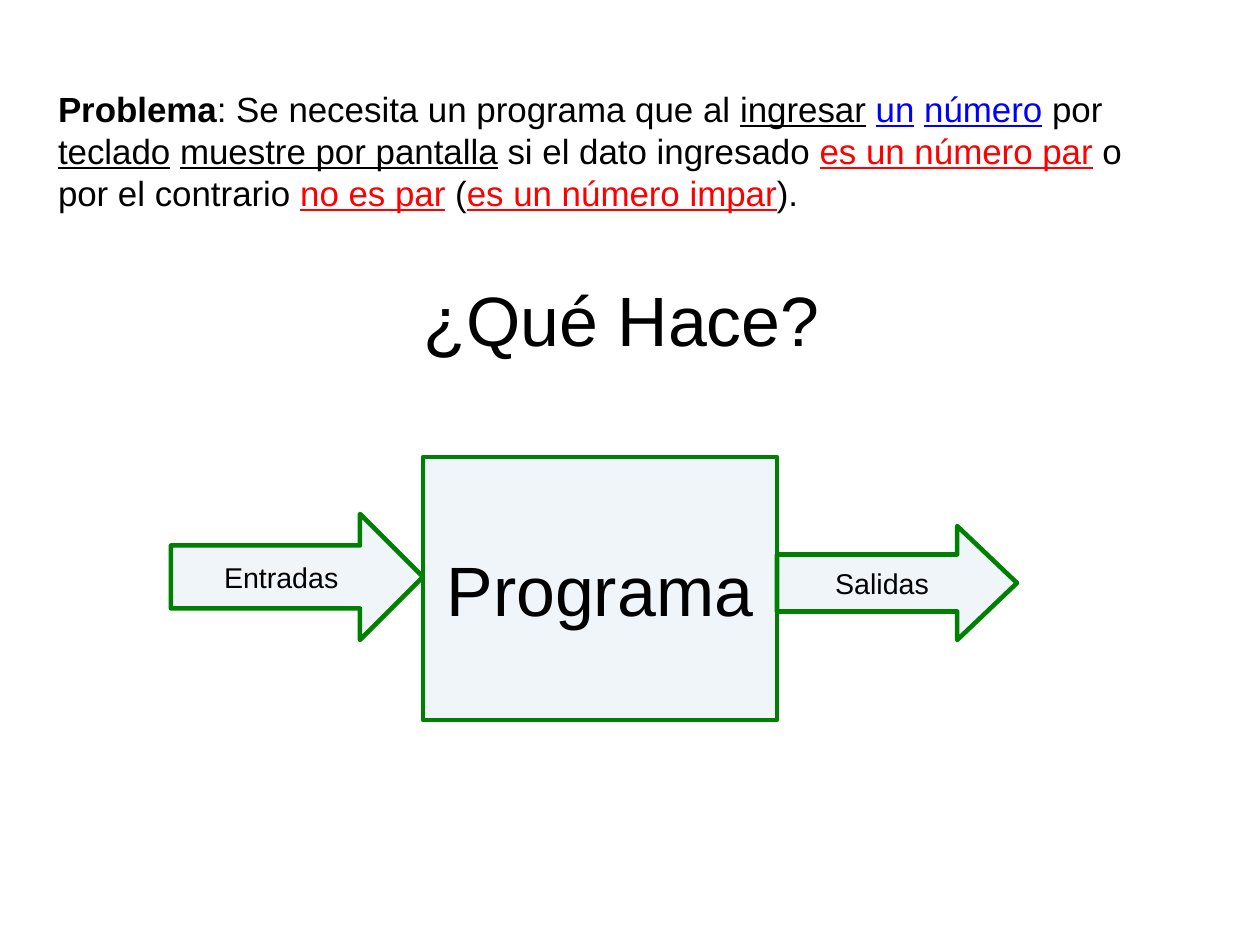
import dataclasses

import pptx
import pptx.dml.color
import pptx.enum.shapes
import pptx.enum.text
import pptx.oxml
import pptx.oxml.ns
import pptx.util

PX = 8000  # EMU per px, the slide is 1260 by 945 px
SHAPES = pptx.enum.shapes.MSO_SHAPE
ALIGN = pptx.enum.text.PP_ALIGN


@dataclasses.dataclass(frozen=True)
class Theme:
    font: str = "Arial"
    text: str = "000000"
    input: str = "0000FF"
    output: str = "FF0000"
    fill: str = "729FCF"
    fill_opacity: int = 10
    line: str = "008000"
    line_width: float = 2.89
    heading_size: int = 44
    body_size: int = 22
    label_size: int = 18


class SlideBuilder:
    def __init__(self, slide, theme):
        self.slide = slide
        self.theme = theme

    def color(self, value):
        return pptx.dml.color.RGBColor.from_string(value)

    def add_run(self, paragraph, text, size, color=None, bold=False, underline=False):
        run = paragraph.add_run()
        run.text = text
        run.font.name = self.theme.font
        run.font.size = pptx.util.Pt(size)
        run.font.color.rgb = self.color(color or self.theme.text)
        run.font.bold = bold
        run.font.underline = underline

    def text(self, box, runs, size, align):
        """Each run is a text and a dict of its font options."""
        shape = self.slide.shapes.add_textbox(*(side * PX for side in box))
        frame = shape.text_frame
        frame.word_wrap = True
        frame.vertical_anchor = pptx.enum.text.MSO_ANCHOR.MIDDLE
        frame.margin_left = frame.margin_right = 0
        frame.margin_top = frame.margin_bottom = 0
        paragraph = frame.paragraphs[0]
        paragraph.alignment = align
        for text, options in runs:
            self.add_run(paragraph, text, size, **options)

    def block(self, kind, box, label, size, adjustments=()):
        shape = self.slide.shapes.add_shape(kind, *(side * PX for side in box))
        shape.shadow.inherit = False
        for index, value in enumerate(adjustments):
            shape.adjustments[index] = value
        # Translucent fill and outline
        shape.fill.solid()
        shape.fill.fore_color.rgb = self.color(self.theme.fill)
        fill_color = shape.fill._xPr.find(".//" + pptx.oxml.ns.qn("a:srgbClr"))
        alpha = pptx.oxml.parse_xml(
            f'<a:alpha {pptx.oxml.ns.nsdecls("a")} val="{self.theme.fill_opacity * 1000}"/>')
        fill_color.append(alpha)
        shape.line.color.rgb = self.color(self.theme.line)
        shape.line.width = pptx.util.Pt(self.theme.line_width)
        # Label
        frame = shape.text_frame
        frame.word_wrap = False
        frame.vertical_anchor = pptx.enum.text.MSO_ANCHOR.MIDDLE
        paragraph = frame.paragraphs[0]
        paragraph.alignment = ALIGN.CENTER
        self.add_run(paragraph, label, size)


def main():
    theme = Theme()
    presentation = pptx.Presentation()
    presentation.slide_width = 1260 * PX
    presentation.slide_height = 945 * PX
    slide = presentation.slides.add_slide(presentation.slide_layouts[6])
    builder = SlideBuilder(slide, theme)

    # Heading
    builder.text((55, 240, 1134, 157), [("¿Qué Hace?", {})],
                 theme.heading_size, ALIGN.CENTER)

    # Problem statement with marked inputs and outputs
    plain = {}
    action = {"underline": True}
    given = {"underline": True, "color": theme.input}
    result = {"underline": True, "color": theme.output}
    problem = [
        ("Problema", {"bold": True}),
        (": Se necesita un programa que al ", plain),
        ("ingresar", action),
        (" ", plain),
        ("un", given),
        (" ", plain),
        ("número", given),
        (" por ", plain),
        ("teclado", action),
        (" ", plain),
        ("muestre por pantalla", action),
        (" si el dato ingresado ", plain),
        ("es un número par", result),
        (" o por el contrario ", plain),
        ("no es par", result),
        (" (", plain),
        ("es un número impar", result),
        (").", plain),
    ]
    builder.text((58, 80, 1092, 141), problem, theme.body_size, ALIGN.LEFT)

    # Program with its inputs and outputs
    builder.block(SHAPES.RECTANGLE, (423, 457, 354, 263), "Programa", theme.heading_size)
    builder.block(SHAPES.RIGHT_ARROW, (777, 526, 240, 114), "Salidas",
                  theme.label_size, (0.5, 0.525))
    builder.block(SHAPES.RIGHT_ARROW, (171, 514, 252, 126), "Entradas",
                  theme.label_size, (0.5, 0.5))

    presentation.save("out.pptx")


if __name__ == "__main__":
    main()
